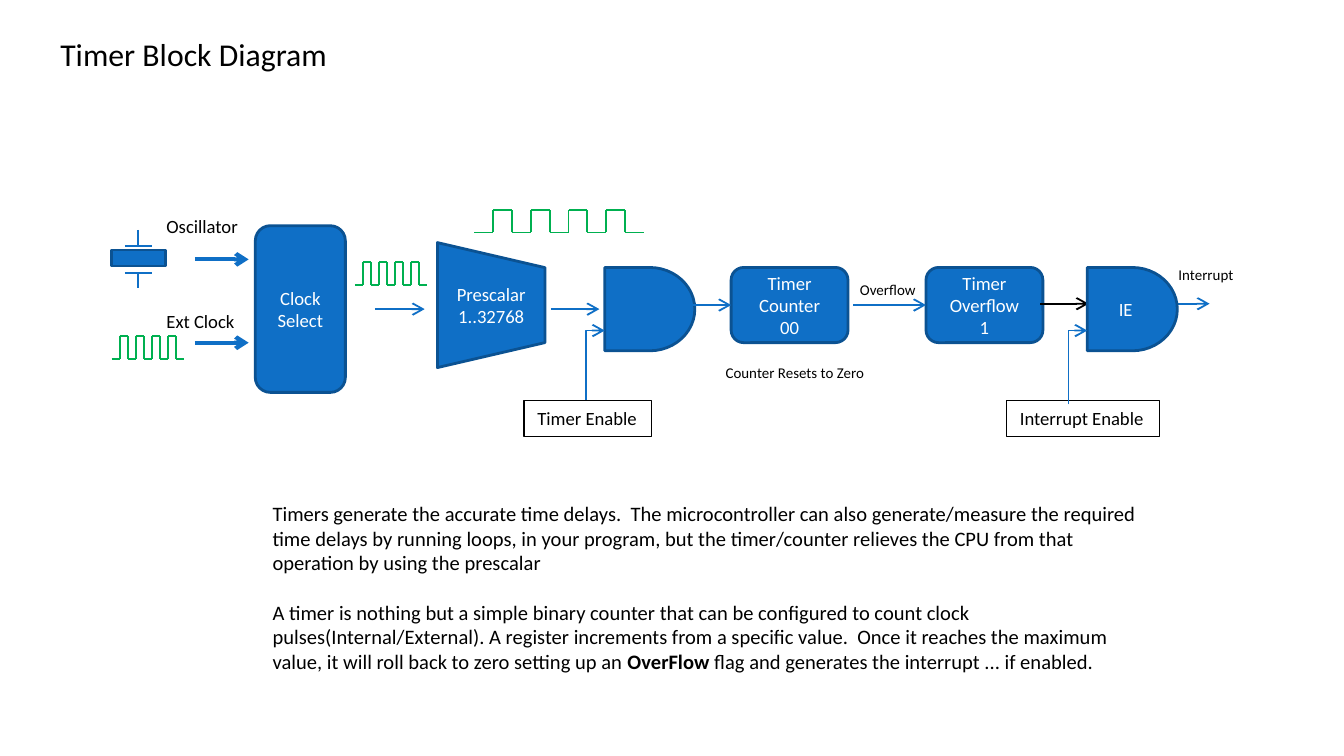
from dataclasses import dataclass

from lxml.etree import SubElement
from pptx import Presentation
from pptx.dml.color import RGBColor
from pptx.enum.shapes import MSO_CONNECTOR as Link, MSO_SHAPE as Form
from pptx.enum.text import MSO_ANCHOR as Anchor, MSO_AUTO_SIZE as Fit, PP_ALIGN as Align
from pptx.oxml.ns import qn
from pptx.util import Inches, Pt


@dataclass(frozen=True)
class Theme:
    font: str = "Calibri"
    black: str = "000000"
    white: str = "FFFFFF"
    blue: str = "0F6FC6"
    edge: str = "0B5292"
    green: str = "00B050"
    title: int = 17
    body: int = 11
    label: int = 10
    small: int = 8


class Board:
    def __init__(self, slide, theme):
        self.shapes = slide.shapes
        self.theme = theme

    def style(self, para, size, color):
        font = para.font
        font.name = self.theme.font
        font.size = Pt(size)
        font.color.rgb = RGBColor.from_string(color)

    def text(self, x, y, w, h, words, size, wrap=False):
        """Add a text box; each paragraph is a list of (words, bold) runs."""
        box = self.shapes.add_textbox(*map(Inches, (x, y, w, h)))
        frame = box.text_frame
        frame.word_wrap = wrap
        frame.auto_size = Fit.SHAPE_TO_FIT_TEXT
        paras = [[(words, False)]] if isinstance(words, str) else words
        for i, runs in enumerate(paras):
            para = frame.add_paragraph() if i else frame.paragraphs[0]
            if i:
                para.space_before = Pt(size * 1.2)
            self.style(para, size, self.theme.black)
            for part, bold in runs:
                run = para.add_run()
                run.text = part
                if bold:
                    run.font.bold = True
        return box

    def tag(self, x, y, w, h, words, fill=None):
        """Add a black-framed label."""
        box = self.text(x, y, w, h, words, self.theme.label)
        box.line.color.rgb = RGBColor.from_string(self.theme.black)
        box.line.width = Pt(0.75)
        if fill:
            box.fill.solid()
            box.fill.fore_color.rgb = RGBColor.from_string(fill)

    def block(self, form, x, y, w, h, words=""):
        """Add a blue block with centred white text."""
        shape = self.shapes.add_shape(form, *map(Inches, (x, y, w, h)))
        shape.shadow.inherit = False
        shape.fill.solid()
        shape.fill.fore_color.rgb = RGBColor.from_string(self.theme.blue)
        shape.line.color.rgb = RGBColor.from_string(self.theme.edge)
        shape.line.width = Pt(1.5)
        if words:
            frame = shape.text_frame
            frame.text = words
            frame.word_wrap = True
            frame.vertical_anchor = Anchor.MIDDLE
            for para in frame.paragraphs:
                para.alignment = Align.CENTER
                self.style(para, self.theme.label, self.theme.white)
        return shape

    def line(self, x1, y1, x2, y2, color=None, width=1, kind=Link.STRAIGHT):
        link = self.shapes.add_connector(kind, *map(Inches, (x1, y1, x2, y2)))
        link.line.color.rgb = RGBColor.from_string(color or self.theme.blue)
        link.line.width = Pt(width)
        SubElement(link._element.spPr, qn("a:effectLst"))
        return link

    def arrow(self, x1, y1, x2, y2, **look):
        link = self.line(x1, y1, x2, y2, **look)
        SubElement(link.line._get_or_add_ln(), qn("a:tailEnd"), type="arrow")
        return link

    def bend(self, x1, y1, x2, y2):
        """Add an arrow that runs upright first, then level."""
        link = self.arrow(x1, y1, x2, y2, kind=Link.ELBOW)
        geom = link._element.spPr.find(qn("a:prstGeom"))
        guides = geom.find(qn("a:avLst"))
        if guides is None:
            guides = SubElement(geom, qn("a:avLst"))
        SubElement(guides, qn("a:gd"), name="adj1", fmla="val 0")

    def wave(self, x, high, step, pulses=4):
        """Add a pulse train: low, rise, high, fall, ending low."""
        low = high + 0.17
        for i in range(4 * pulses + 1):
            if i % 2:
                self.line(x, low, x, high, color=self.theme.green)
            else:
                y = high if i % 4 == 2 else low
                self.line(x, y, x + step, y, color=self.theme.green)
                x += step


def main():
    deck = Presentation()
    deck.slide_width = Inches(10)
    deck.slide_height = deck.slide_width * 9 // 16
    look = Theme()
    board = Board(deck.slides.add_slide(deck.slide_layouts[6]), look)

    # Title and explanation
    board.text(0.35, 0.21, 2.32, 0.4, "Timer Block Diagram", look.title)
    board.text(1.93, 3.68, 6.67, 1.4, [
        [("Timers generate the accurate time delays.  The microcontroller can also "
          "generate/measure the required time delays by running loops, in your program, "
          "but the timer/counter relieves the CPU from that operation by using the "
          "prescalar", False)],
        [("A timer is nothing but a simple binary counter that can be configured to count "
          "clock pulses(Internal/External). A register increments from a specific value.  "
          "Once it reaches the maximum value, it will roll back to zero setting up an ", False),
         ("OverFlow", True),
         (" flag and generates the interrupt ... if enabled.", False)],
    ], look.body, wrap=True)

    # Crystal
    for tip, plate in ((1.71, 1.83), (2.14, 2.03)):
        board.line(1.03, tip, 1.03, plate)
        board.line(0.93, plate, 1.13, plate)
    board.block(Form.RECTANGLE, 0.83, 1.86, 0.4, 0.12)

    # Clock sources
    board.block(Form.ROUNDED_RECTANGLE, 1.9, 1.68, 0.67, 1.24, "Clock Select")
    for y, top, w, name in ((1.93, 1.55, 0.74, "Oscillator"), (2.55, 2.26, 0.71, "Ext Clock")):
        board.arrow(1.45, y, 1.85, y, width=2.25)
        board.text(1.14, top, w, 0.27, name, look.label)

    # Prescaler, turned so its wide side faces the clock
    scaler = board.block(Form.FLOWCHART_MANUAL_OPERATION, 3.19, 1.87, 0.93, 0.8,
                         "Prescalar\n1..32768")
    scaler.rotation = 270
    scaler.text_frame._txBody.bodyPr.set("vert", "vert")

    # Pulse trains
    for x, high, step in ((0.83, 2.5, 0.06), (2.64, 1.95, 0.06), (3.53, 1.56, 0.14)):
        board.wave(x, high, step)

    # Gates, counter and flag
    board.block(Form.FLOWCHART_DELAY, 4.5, 1.99, 0.67, 0.62)
    count = board.block(Form.ROUNDED_RECTANGLE, 5.44, 1.99, 0.87, 0.56, "Timer Counter\v00")
    flag = board.block(Form.ROUNDED_RECTANGLE, 6.89, 1.99, 0.87, 0.56, "Timer Overflow\n1")

    # Signal flow
    board.arrow(2.79, 2.3, 3.16, 2.3)
    board.arrow(4.1, 2.3, 4.46, 2.3)
    board.arrow(5.06, 2.27, 5.44, 2.27).end_connect(count, 1)
    board.arrow(6.35, 2.27, 6.89, 2.27).end_connect(flag, 1)
    board.arrow(7.74, 2.26, 8.1, 2.26, color=look.black)
    board.arrow(8.63, 2.26, 9, 2.26)
    board.block(Form.FLOWCHART_DELAY, 8.09, 1.99, 0.67, 0.62, "IE")

    # Enable inputs
    board.tag(7.49, 2.98, 1.14, 0.27, "Interrupt Enable")
    for x in (4.36, 7.95):
        board.bend(x, 3.01, x + 0.14, 2.46)
    board.tag(3.9, 2.98, 0.95, 0.27, "Timer Enable", fill=look.white)

    # Small labels
    for x, y, w, words in ((5.3, 2.66, 1.25, "Counter Resets to Zero"),
                           (6.3, 2.04, 0.62, "Overflow"),
                           (8.67, 1.93, 0.61, "Interrupt")):
        board.text(x, y, w, 0.24, words, look.small)

    deck.save("out.pptx")


if __name__ == "__main__":
    main()
